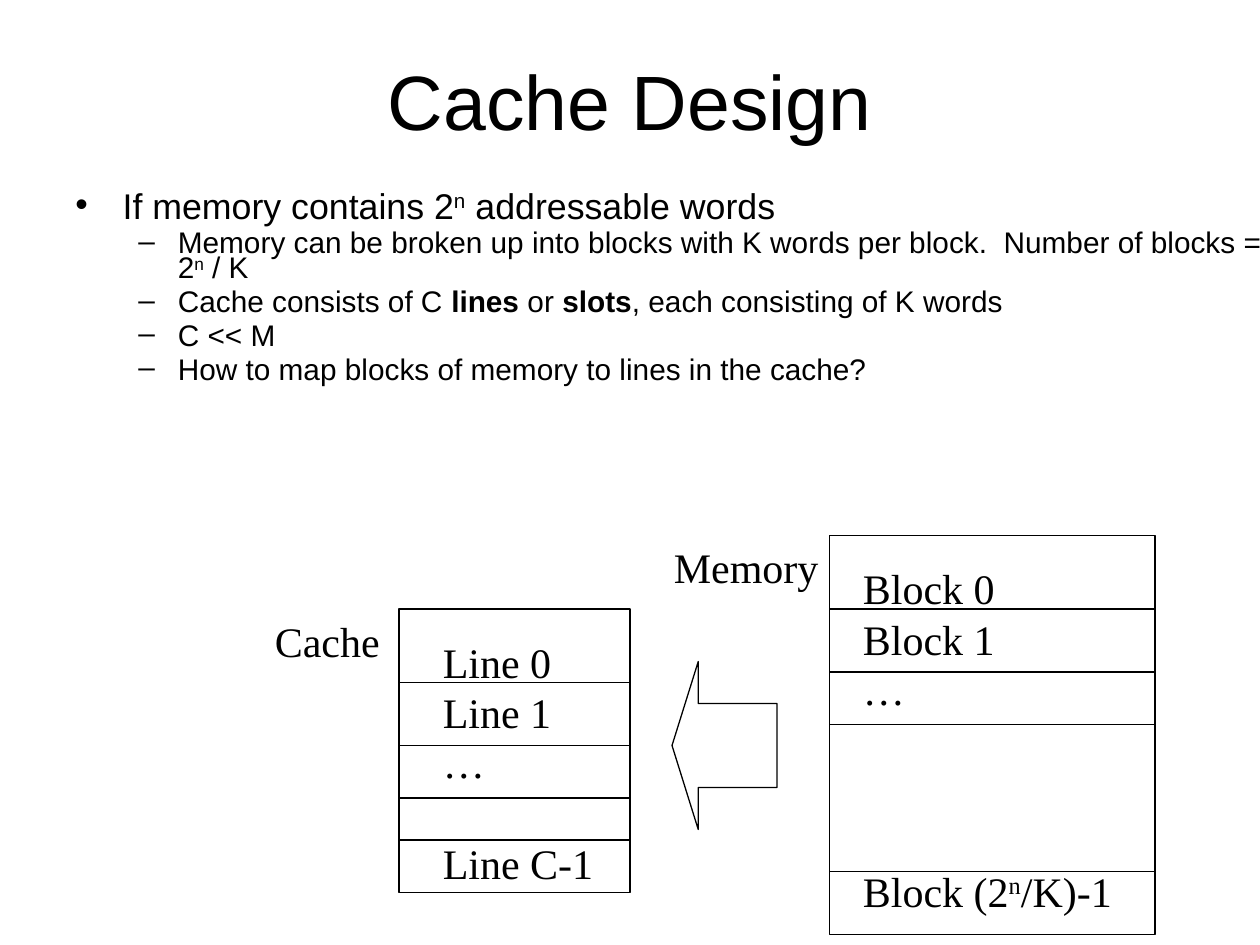
from dataclasses import dataclass

from lxml.etree import SubElement
from pptx import Presentation
from pptx.dml.color import RGBColor
from pptx.enum.shapes import MSO_CONNECTOR, MSO_SHAPE
from pptx.enum.text import MSO_ANCHOR, MSO_AUTO_SIZE, PP_ALIGN
from pptx.oxml.ns import qn
from pptx.util import Pt


@dataclass(frozen=True)
class Theme:
    ink: RGBColor = RGBColor(0, 0, 0)
    sans: str = "Arial"
    serif: str = "Times New Roman"
    title: float = 44
    bullet: float = 20.4
    sub_bullet: float = 17
    label: float = 24
    label_pitch: float = 28.8
    line: float = 0.75


theme = Theme()
prs = Presentation()
prs.slide_width, prs.slide_height = Pt(720), Pt(540)
s = prs.slides.add_slide(prs.slide_layouts[6])


def add_runs(p, runs, font, size):
    """Fill a paragraph from (text, style) pairs; style is "", "bold" or "super"."""
    for text, style in runs:
        r = p.add_run()
        r.text = text
        r.font.name, r.font.size = font, Pt(size)
        r.font.color.rgb = theme.ink
        if style == "bold":
            r.font.bold = True
        elif style == "super":
            r.font._element.set("baseline", "30000")


def add_box(x, y, w, h, wrap=True):
    tf = s.shapes.add_textbox(Pt(x), Pt(y), Pt(w), Pt(h)).text_frame
    tf.word_wrap = wrap
    return tf


# Title
tf = add_box(54, 12, 612, 90)
tf.vertical_anchor = MSO_ANCHOR.MIDDLE
p = tf.paragraphs[0]
p.alignment = PP_ALIGN.CENTER
add_runs(p, [("Cache Design", "")], theme.sans, theme.title)

# Bullets: level, runs
bullets = [
    (0, [("If memory contains 2", ""), ("n", "super"), (" addressable words", "")]),
    (1, [("Memory can be broken up into blocks with K words per block.  Number of blocks = 2", ""),
         ("n", "super"), (" / K", "")]),
    (1, [("Cache consists of C ", ""), ("lines", "bold"), (" or ", ""), ("slots", "bold"),
         (", each consisting of K words", "")]),
    (1, [("C << M", "")]),
    (1, [("How to map blocks of memory to lines in the cache?", "")]),
]
# Per level: size, space before, left margin, hanging indent, bullet character
levels = [(theme.bullet, 6, 27, 27, "•"), (theme.sub_bullet, 5, 58.5, 22.5, "–")]
tf = add_box(36, 108, 696, 120)
for i, (level, runs) in enumerate(bullets):
    size, before, margin, hang, char = levels[level]
    p = tf.add_paragraph() if i else tf.paragraphs[0]
    p.level = level
    p.line_spacing, p.space_before = 0.7, Pt(before)
    pPr = p._p.get_or_add_pPr()
    pPr.set("marL", str(Pt(margin)))
    pPr.set("indent", str(-Pt(hang)))
    SubElement(pPr, qn("a:buFont")).set("typeface", theme.sans)
    SubElement(pPr, qn("a:buChar")).set("char", char)
    add_runs(p, runs, theme.sans, size)

# Memory and cache: frame, divider heights, name box, label box,
# labels as (empty rows above, runs)
stores = [
    ((474, 306, 186, 228), (348, 384, 414, 498),
     "Memory", (378, 306, 97.2, 36), (486, 318, 168, 208.8),
     [(0, [("Block 0", "")]), (0, [("Block 1", "")]), (0, [("…", "")]),
      (3, [("Block (2", ""), ("n", "super"), ("/K)-1", "")])]),
    ((228, 348, 132, 162), (390, 426, 456, 480),
     "Cache", (150, 348, 74.2, 36), (246, 360, 114, 151.2),
     [(0, [("Line 0", "")]), (0, [("Line 1", "")]), (0, [("…", "")]),
      (1, [("Line C-1", "")])]),
]
outlines = [(MSO_SHAPE.RECTANGLE, frame) for frame, *_ in stores]
outlines.append((MSO_SHAPE.LEFT_ARROW, (384, 378, 60, 96)))
for kind, place in outlines:
    sp = s.shapes.add_shape(kind, *map(Pt, place))
    sp.shadow.inherit = False
    sp.fill.background()
    sp.line.color.rgb, sp.line.width = theme.ink, Pt(theme.line)
    if kind == MSO_SHAPE.LEFT_ARROW:
        sp.adjustments[0], sp.adjustments[1] = 0.5, 0.25

for (x, _, w, _), dividers, name, name_box, label_box, labels in stores:
    for y in dividers:
        line = s.shapes.add_connector(MSO_CONNECTOR.STRAIGHT, Pt(x), Pt(y), Pt(x + w), Pt(y))
        line.line.color.rgb, line.line.width = theme.ink, Pt(theme.line)
        SubElement(line._element.spPr, qn("a:effectLst"))

    tf = add_box(*name_box, wrap=False)
    tf.auto_size = MSO_AUTO_SIZE.SHAPE_TO_FIT_TEXT
    add_runs(tf.paragraphs[0], [(name, "")], theme.serif, theme.label)

    tf = add_box(*label_box)
    tf.auto_size = MSO_AUTO_SIZE.SHAPE_TO_FIT_TEXT
    for i, (empty_rows, runs) in enumerate(labels):
        p = tf.add_paragraph() if i else tf.paragraphs[0]
        p.space_before = Pt(empty_rows * theme.label_pitch)
        add_runs(p, runs, theme.serif, theme.label)

prs.save("out.pptx")
